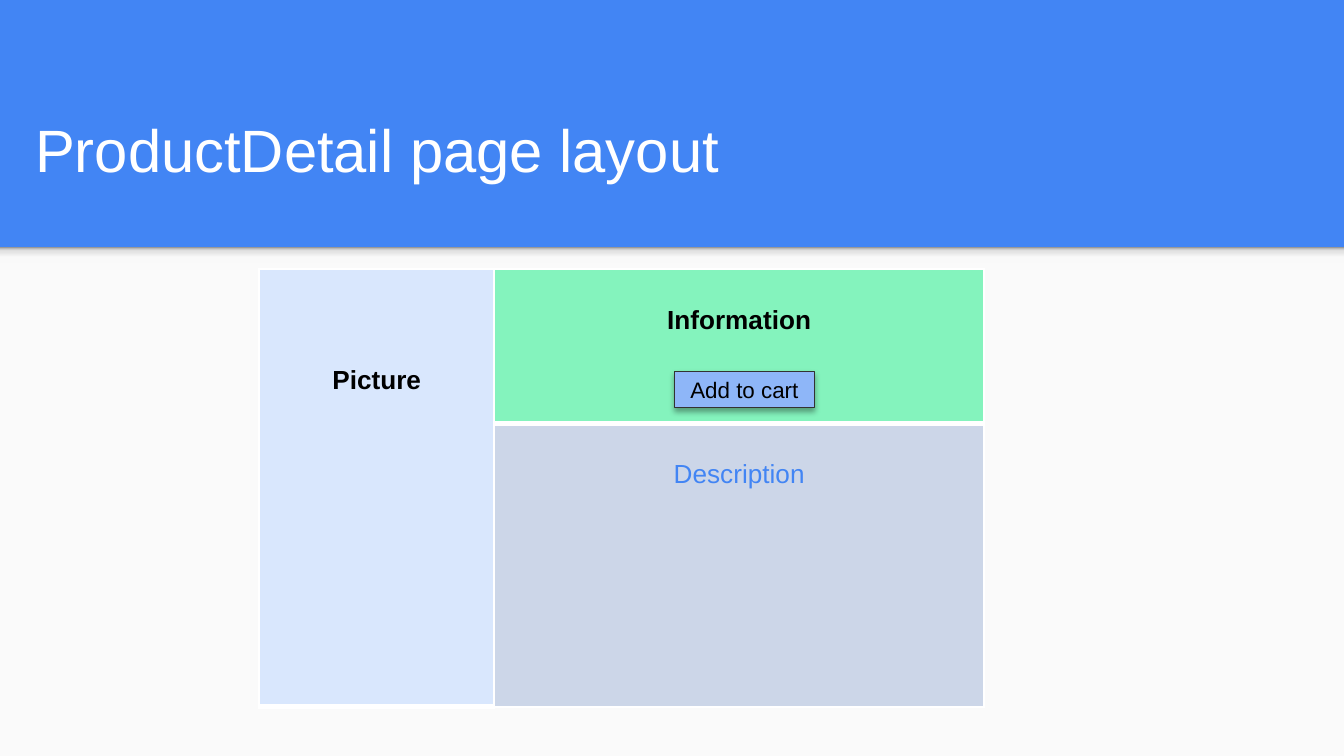
from dataclasses import dataclass

from pptx import Presentation
from pptx.dml.color import RGBColor as RGB
from pptx.enum.shapes import MSO_SHAPE as SHAPE
from pptx.enum.text import MSO_ANCHOR as ANCHOR, MSO_AUTO_SIZE as AUTO, PP_ALIGN as ALIGN
from pptx.oxml import parse_xml
from pptx.oxml.ns import nsdecls
from pptx.util import Cm, Pt


@dataclass(frozen=True)
class Theme:
    """Colours and type sizes of the slide."""
    font: str = "Arial"
    header: str = "4285F4"
    body: str = "FAFAFA"
    white: str = "FFFFFF"
    black: str = "000000"
    picture: str = "D9E7FD"
    information: str = "84F3BD"
    description: str = "CCD6E8"
    button: str = "8EB6F8"
    outline: str = "323232"
    edge: tuple = ((0, "F9F9F9"), (36, "F9F9F9"), (80, "DEDEDE"), (100, "999999"))
    title_size: int = 32
    cell_size: int = 14
    button_size: int = 12


THEME = Theme()


def set_text(tf, text, size, color, align, bold=False):
    """Write one formatted paragraph into a text frame."""
    tf.text = text
    p = tf.paragraphs[0]
    p.alignment = align
    font = p.runs[0].font
    font.name, font.size, font.bold = THEME.font, Pt(size), bold
    font.color.rgb = RGB.from_string(color)


def paint(fill, color):
    """Give a fill one solid colour."""
    fill.solid()
    fill.fore_color.rgb = RGB.from_string(color)


def add_box(s, left, top, width, height, color):
    """Add a plain rectangle without a line or shadow."""
    sp = s.shapes.add_shape(SHAPE.RECTANGLE, Cm(left), Cm(top), Cm(width), Cm(height))
    sp.shadow.inherit = False
    sp.line.fill.background()
    paint(sp.fill, color)
    return sp


def add_header_edge(s):
    """Add the gradient strip that falls below the header."""
    sp = add_box(s, 0, 4.67, 25.4, 0.31, THEME.body)
    stops = "".join(f'<a:gs pos="{pos * 1000}"><a:srgbClr val="{color}"/></a:gs>'
                    for pos, color in THEME.edge)
    grad = parse_xml(f'<a:gradFill {nsdecls("a")}><a:gsLst>{stops}</a:gsLst>'
                     '<a:lin ang="16200000" scaled="0"/></a:gradFill>')
    solid = sp.fill._xPr.find("{*}solidFill")
    solid.getparent().replace(solid, grad)


def set_title(s, text):
    """Place and format the slide title."""
    title = s.shapes.title
    title.left, title.top, title.width, title.height = Cm(0.41), Cm(1.65), Cm(21.54), Cm(1.96)
    tf = title.text_frame
    tf.auto_size, tf.vertical_anchor = AUTO.NONE, ANCHOR.BOTTOM
    set_text(tf, text, THEME.title_size, THEME.white, ALIGN.LEFT)


def set_borders(cell, bottom):
    """Draw white cell borders with a chosen bottom width."""
    tc_pr = cell._tc.get_or_add_tcPr()
    for i, (side, width) in enumerate({"L": 1, "R": 1, "T": 1, "B": bottom}.items()):
        tc_pr.insert(i, parse_xml(
            f'<a:ln{side} {nsdecls("a")} w="{Pt(width)}"><a:solidFill>'
            f'<a:srgbClr val="{THEME.white}"/></a:solidFill></a:ln{side}>'))


def style_cell(cell, color, bottom=3):
    """Fill a cell and draw its borders."""
    paint(cell.fill, color)
    set_borders(cell, bottom)


def label_cell(cell, text, margin_top, color, bold):
    """Write a centred label below the top of a cell."""
    cell.margin_top = Cm(margin_top)
    set_text(cell.text_frame, text, THEME.cell_size, color, ALIGN.CENTER, bold)


def add_layout_table(s):
    """Add the table that sketches the page areas."""
    frame = s.shapes.add_table(2, 2, Cm(4.9), Cm(5.08), Cm(13.7), Cm(8.28))
    table = frame.table
    table.first_row = table.horz_banding = False
    for col, width in zip(table.columns, (4.44, 9.26)):
        col.width = Cm(width)
    for row, height in zip(table.rows, (2.92, 5.36)):
        row.height = Cm(height)
    picture, information = table.cell(0, 0), table.cell(0, 1)
    description = table.cell(1, 1)
    picture.merge(table.cell(1, 0))
    style_cell(picture, THEME.picture)
    style_cell(table.cell(1, 0), THEME.picture)
    style_cell(information, THEME.information)
    style_cell(description, THEME.description, bottom=1)
    label_cell(picture, "Picture", 1.83, THEME.black, True)
    label_cell(information, "Information", 0.7, THEME.black, True)
    label_cell(description, "Description", 0.7, THEME.header, False)


def add_button(s, text):
    """Add an outlined button with a soft shadow."""
    sp = add_box(s, 12.75, 7.02, 2.64, 0.69, THEME.button)
    sp.line.color.rgb = RGB.from_string(THEME.outline)
    sp.line.width = Pt(0.75)
    effects = sp._element.spPr.find("{*}effectLst")
    effects.append(parse_xml(
        f'<a:outerShdw {nsdecls("a")} blurRad="{Pt(3.1)}" dist="{Pt(1.8)}" dir="5400000" '
        f'rotWithShape="0"><a:srgbClr val="{THEME.black}"><a:alpha val="35000"/>'
        '</a:srgbClr></a:outerShdw>'))
    tf = sp.text_frame
    tf.vertical_anchor = ANCHOR.MIDDLE
    tf.margin_left = tf.margin_right = tf.margin_top = tf.margin_bottom = 0
    set_text(tf, text, THEME.button_size, THEME.black, ALIGN.CENTER)


def main():
    """Build and save the slide."""
    prs = Presentation()
    prs.slide_width, prs.slide_height = Cm(25.4), Cm(14.29)
    s = prs.slides.add_slide(prs.slide_layouts[5])
    paint(s.background.fill, THEME.header)
    add_box(s, 0, 4.67, 25.4, 9.62, THEME.body)
    add_header_edge(s)
    set_title(s, "ProductDetail page layout")
    add_layout_table(s)
    add_button(s, "Add to cart")
    prs.save("out.pptx")


if __name__ == "__main__":
    main()
